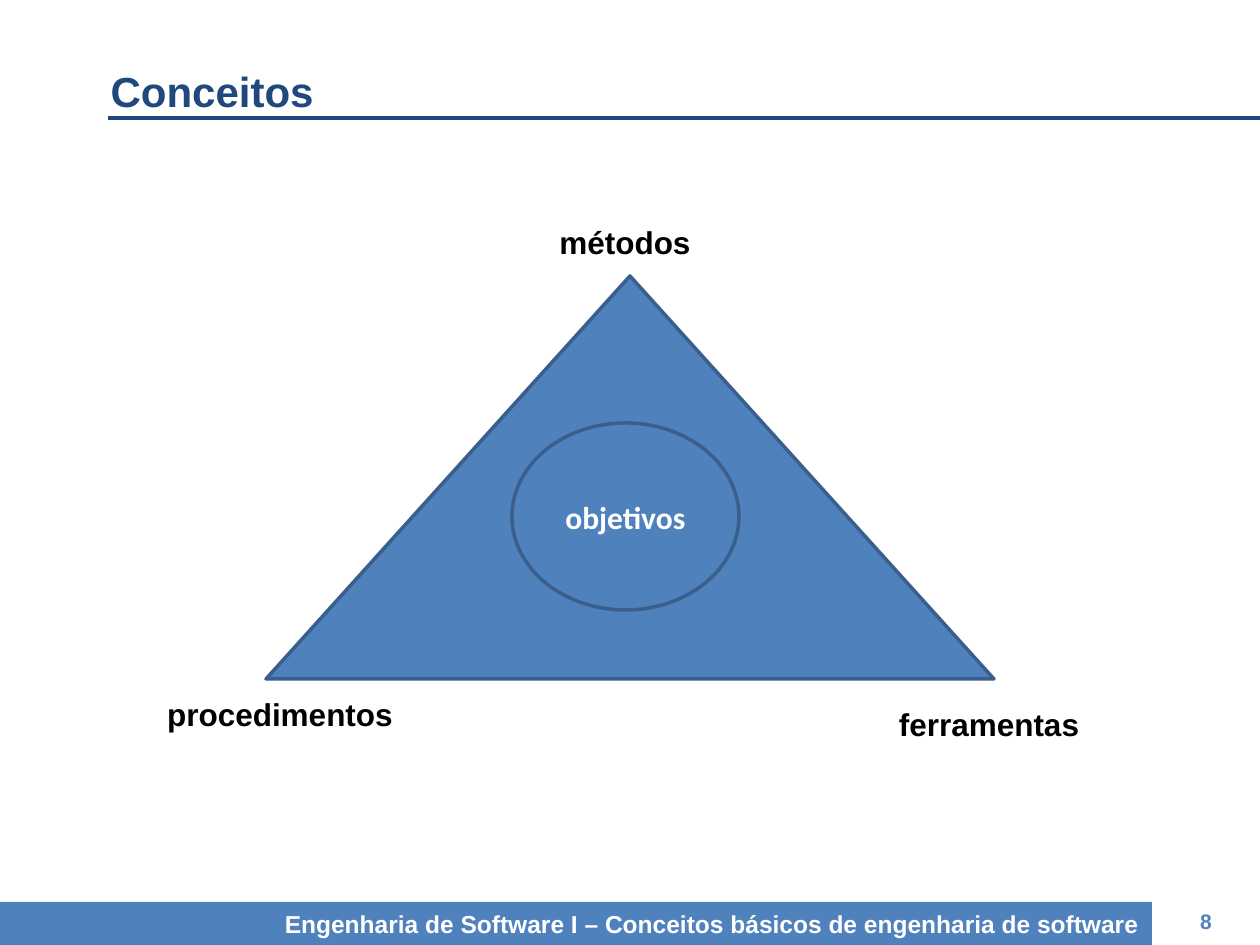
"""Builds the concept slide: a triangle of methods, procedures and tools around objectives."""
from lxml.etree import SubElement
from pptx import Presentation
from pptx.dml.color import RGBColor
from pptx.enum.shapes import MSO_CONNECTOR, MSO_SHAPE
from pptx.enum.text import MSO_ANCHOR, PP_ALIGN
from pptx.oxml.ns import qn
from pptx.util import Emu, Pt

NAVY = RGBColor(0x1F, 0x49, 0x7D)
BLUE = RGBColor(0x4F, 0x81, 0xBD)
EDGE = RGBColor(0x3A, 0x5F, 0x8C)
WHITE = RGBColor(0xFF, 0xFF, 0xFF)
BLACK = RGBColor(0x00, 0x00, 0x00)

PX = 914400 // 126
LABEL_SIZE = (286, 50)

TITLE = ("Conceitos", (98, 59, 1162, 64), {"size": Pt(24), "color": NAVY})
RULE = ((108, 118), (1260, 118))
SHAPES = [
    (MSO_SHAPE.RECTANGLE, (1152, 896, 108, 50), WHITE, None, "8",
     {"size": Pt(12), "color": BLUE}),
    (MSO_SHAPE.RECTANGLE, (0, 902, 1152, 43), BLUE, None,
     "Engenharia de Software I – Conceitos básicos de engenharia de software",
     {"size": Pt(14), "color": WHITE, "align": PP_ALIGN.RIGHT}),
    (MSO_SHAPE.ISOSCELES_TRIANGLE, (266, 276, 728, 403), BLUE, EDGE, "", {}),
    (MSO_SHAPE.OVAL, (512, 423, 227, 187), BLUE, EDGE, "objetivos",
     {"size": Pt(18), "color": WHITE, "name": "Calibri"}),
]
LABELS = [
    ("métodos", (482, 217)),
    ("procedimentos", (137, 689)),
    ("ferramentas", (846, 699)),
]


def emu(lengths):
    return [Emu(length * PX) for length in lengths]


def write(holder, text, size, color, name="Arial", align=PP_ALIGN.CENTER,
          anchor=MSO_ANCHOR.MIDDLE):
    frame = holder.text_frame
    frame.word_wrap = True
    frame.vertical_anchor = anchor
    paragraph = frame.paragraphs[0]
    paragraph.alignment = align
    run = paragraph.add_run()
    run.text = text
    for attribute, value in {"size": size, "name": name, "bold": True}.items():
        setattr(run.font, attribute, value)
    run.font.color.rgb = color


def add_title(slide):
    text, box, style = TITLE
    title = slide.shapes.title
    title.left, title.top, title.width, title.height = emu(box)
    write(title, text, align=PP_ALIGN.LEFT, anchor=MSO_ANCHOR.TOP, **style)


def add_rule(slide):
    start, end = RULE
    rule = slide.shapes.add_connector(MSO_CONNECTOR.STRAIGHT, *emu(start + end))
    rule.line.color.rgb = NAVY
    rule.line.width = Pt(2)
    SubElement(rule._element.spPr, qn("a:effectLst"))


def add_filled(slide, kind, box, fill, edge, text, style):
    shape = slide.shapes.add_shape(kind, *emu(box))
    shape.shadow.inherit = False
    shape.fill.solid()
    shape.fill.fore_color.rgb = fill
    if edge is None:
        shape.line.fill.background()
    else:
        shape.line.color.rgb = edge
        shape.line.width = Pt(2)
    if text:
        write(shape, text, **style)


def main():
    presentation = Presentation()
    presentation.slide_width, presentation.slide_height = emu((1260, 945))
    slide = presentation.slides.add_slide(presentation.slide_layouts[5])
    add_title(slide)
    add_rule(slide)
    for spec_row in SHAPES:
        add_filled(slide, *spec_row)
    for text, corner in LABELS:
        label = slide.shapes.add_textbox(*emu(corner + LABEL_SIZE))
        write(label, text, Pt(18), BLACK, anchor=MSO_ANCHOR.TOP)
    presentation.save("out.pptx")


if __name__ == "__main__":
    main()
